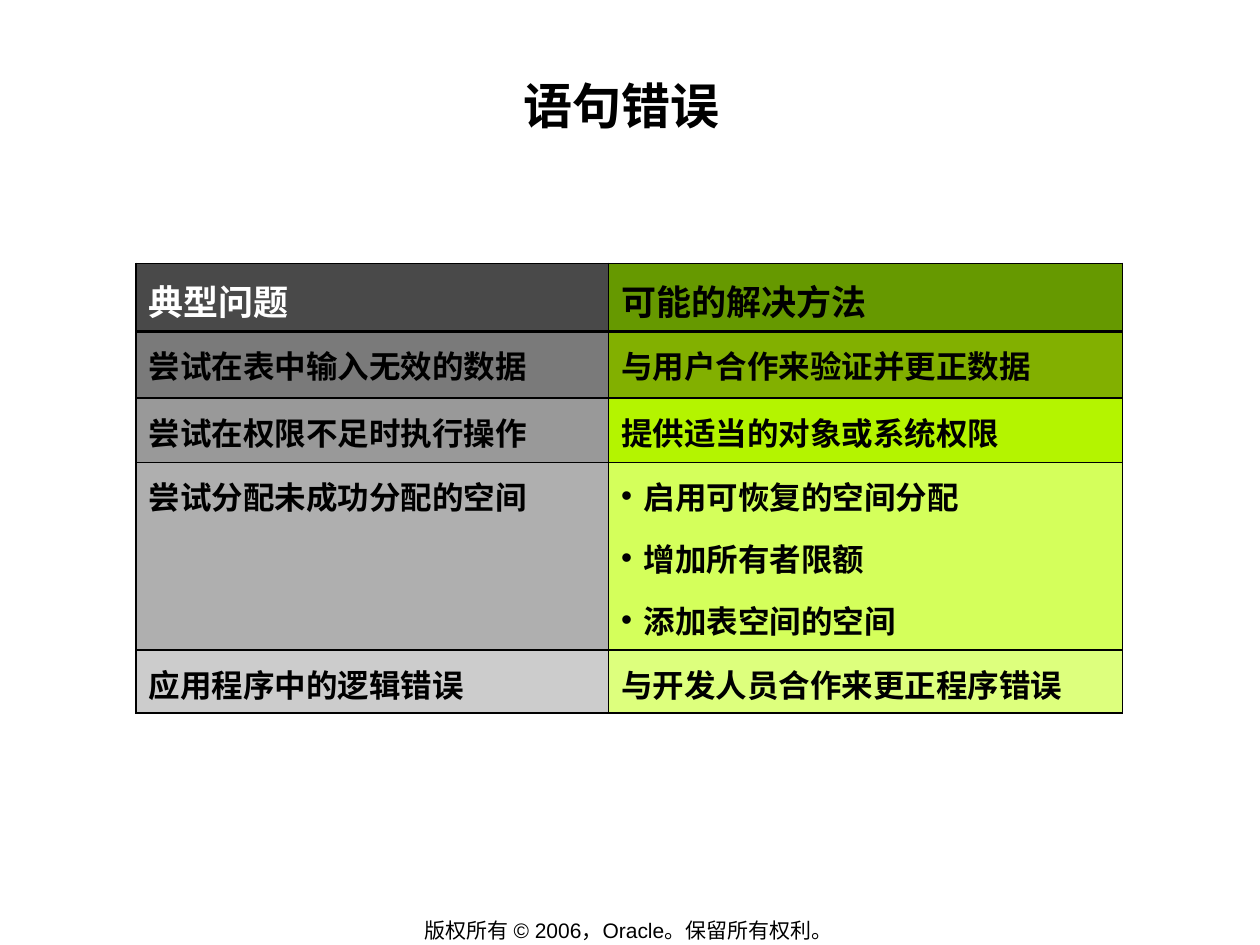
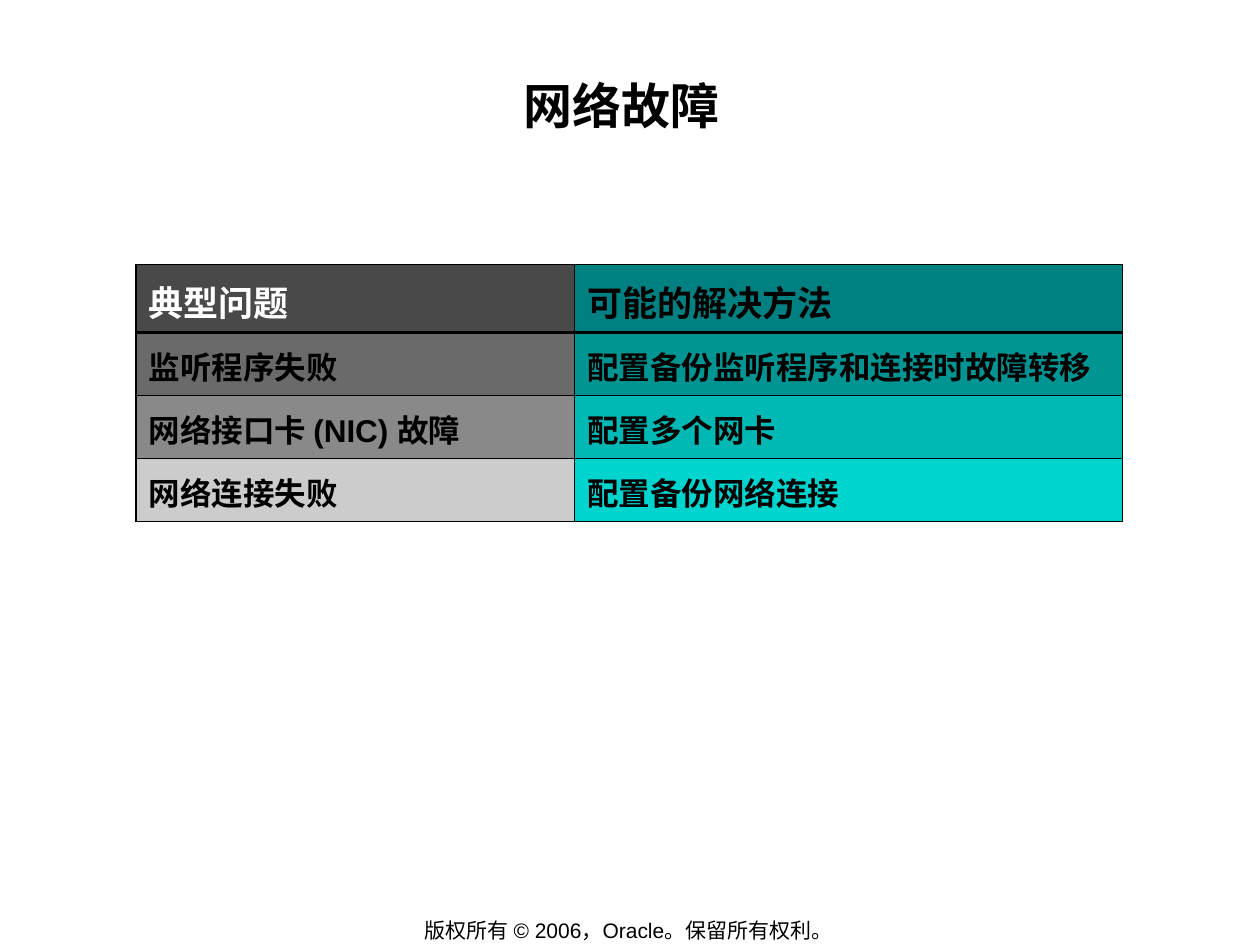
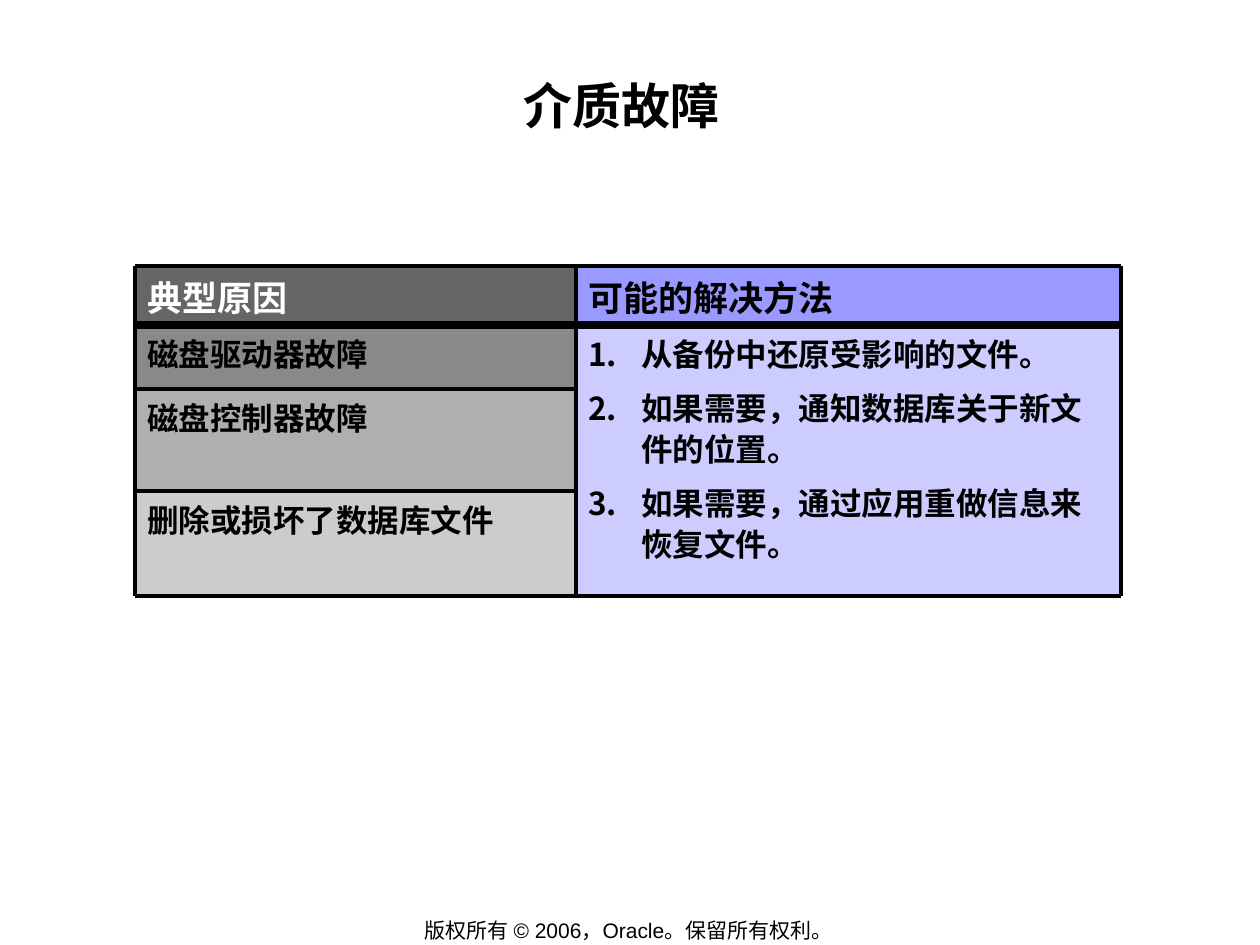
from dataclasses import dataclass
from itertools import groupby, pairwise

from pptx import Presentation
from pptx.dml.color import RGBColor
from pptx.enum.shapes import MSO_CONNECTOR, MSO_SHAPE
from pptx.enum.text import MSO_ANCHOR, PP_ALIGN
from pptx.oxml.ns import qn
from pptx.util import Inches, Pt
from lxml.etree import SubElement


@dataclass(frozen=True)
class Theme:
    ink: str = "000000"
    paper: str = "FFFFFF"
    latin: str = "Arial"
    chinese: str = "Noto Sans CJK SC"
    title_size: int = 28
    header_size: int = 20
    body_size: int = 18
    footer_size: int = 12
    line_spacing: float = 1.1
    item_gap: float = 6.8
    cell_border: float = 1.08
    header_border: float = 2.21
    frame_line: float = 2.25
    header_line: float = 4.5


THEME = Theme()

# Content
FOOTER = "版权所有 © 2006，Oracle。保留所有权利。"

# Each cell is (text or list of items, fill)
TABLE_SLIDES = [
    {
        "title": "语句错误",
        "top": 2.09,
        "columns": [3.75, 4.08],
        "heights": [0.54, 0.53, 0.51, 1.49, 0.5],
        "rows": [
            [("典型问题", "494949"), ("可能的解决方法", "669900")],
            [("尝试在表中输入无效的数据", "7A7A7A"), ("与用户合作来验证并更正数据", "82B000")],
            [("尝试在权限不足时执行操作", "999999"), ("提供适当的对象或系统权限", "B4F400")],
            [("尝试分配未成功分配的空间", "AFAFAF"),
             (["启用可恢复的空间分配", "增加所有者限额", "添加表空间的空间"], "D4FF5B")],
            [("应用程序中的逻辑错误", "CCCCCC"), ("与开发人员合作来更正程序错误", "DDFF7D")],
        ],
    },
    {
        "title": "网络故障",
        "top": 2.1,
        "columns": [3.48, 4.35],
        "heights": [0.54, 0.5, 0.5, 0.5],
        "rows": [
            [("典型问题", "494949"), ("可能的解决方法", "008080")],
            [("监听程序失败", "6A6A6A"), ("配置备份监听程序和连接时故障转移", "009592")],
            [("网络接口卡 (NIC) 故障", "898989"), ("配置多个网卡", "00B8B4")],
            [("网络连接失败", "CCCCCC"), ("配置备份网络连接", "00D4CF")],
        ],
    },
]
TABLE_LEFT = 1.08

MEDIA_TITLE = "介质故障"
MEDIA_HEADERS = [("典型原因", "666666"), ("可能的解决方法", "9999FF")]
MEDIA_CAUSES = [
    ("磁盘驱动器故障", "898989"),
    ("磁盘控制器故障", "AFAFAF"),
    ("删除或损坏了数据库文件", "CCCCCC"),
]
MEDIA_STEPS = [
    "从备份中还原受影响的文件。",
    "如果需要，通知数据库关于新文件的位置。",
    "如果需要，通过应用重做信息来恢复文件。",
]
MEDIA_STEPS_FILL = "CCCCFF"
MEDIA_X = [1.07, 4.57, 8.9]
MEDIA_Y = [2.11, 2.58, 3.09, 3.9, 4.73]


# Text helpers
def format_run(run, size, color, bold, font_name):
    run.font.size = Pt(size)
    run.font.bold = bold
    run.font.color.rgb = RGBColor.from_string(color)
    run.font.name = font_name
    SubElement(run.font._element, qn("a:ea")).set("typeface", THEME.chinese)


def add_marker(paragraph, tag, attributes, indent):
    properties = paragraph._p.get_or_add_pPr()
    properties.set("marL", str(Inches(indent)))
    properties.set("indent", str(-Inches(indent)))
    SubElement(properties, qn("a:buFont")).set("typeface", THEME.latin)
    marker = SubElement(properties, qn(tag))
    for name, value in attributes.items():
        marker.set(name, value)


def bullet(paragraph):
    add_marker(paragraph, "a:buChar", {"char": "•"}, 0.18)


def number(paragraph):
    add_marker(paragraph, "a:buAutoNum", {"type": "arabicPeriod"}, 0.42)


def fill_text(text_frame, content, size, color=THEME.ink, mark=bullet):
    """Write one text, or a marked list, with Latin and Chinese runs apart."""
    is_list = isinstance(content, list)
    for index, text in enumerate(content if is_list else [content]):
        paragraph = text_frame.add_paragraph() if index else text_frame.paragraphs[0]
        paragraph.alignment = PP_ALIGN.LEFT
        if is_list:
            mark(paragraph)
        paragraph.line_spacing = THEME.line_spacing
        if index:
            paragraph.space_before = Pt(THEME.item_gap)
        for is_latin, letters in groupby(text, str.isascii):
            run = paragraph.add_run()
            run.text = "".join(letters)
            # List markers take the Latin font of their run
            font_name = THEME.latin if is_latin or is_list else THEME.chinese
            format_run(run, size, color, True, font_name)


def add_centred_text(slide, text, box, insets, size, bold, anchor):
    text_frame = slide.shapes.add_textbox(*map(Inches, box)).text_frame
    text_frame.word_wrap = True
    text_frame.vertical_anchor = anchor
    (text_frame.margin_left, text_frame.margin_top,
     text_frame.margin_right, text_frame.margin_bottom) = map(Inches, insets)
    text_frame.text = text
    paragraph = text_frame.paragraphs[0]
    paragraph.alignment = PP_ALIGN.CENTER
    format_run(paragraph.runs[0], size, THEME.ink, bold, THEME.latin)


def add_base_slide(presentation, title):
    slide = presentation.slides.add_slide(presentation.slide_layouts[6])
    add_centred_text(slide, FOOTER, (2.76, 7.28, 4.49, 0.21), (0.1, 0.05, 0.13, 0.05),
                     THEME.footer_size, False, MSO_ANCHOR.MIDDLE)
    add_centred_text(slide, title, (0.97, 0.58, 8, 0.96), (0.01, 0.02, 0.09, 0.01),
                     THEME.title_size, True, MSO_ANCHOR.TOP)
    return slide


def text_style(is_header, column):
    size = THEME.header_size if is_header else THEME.body_size
    return size, THEME.paper if is_header and column == 0 else THEME.ink


# Tables
def set_borders(cell, row):
    properties = cell._tc.get_or_add_tcPr()
    widths = dict.fromkeys("LRTB", THEME.cell_border)
    if row < 2:
        widths["T" if row else "B"] = THEME.header_border
    for position, (side, width) in enumerate(widths.items()):
        line = properties.makeelement(qn(f"a:ln{side}"), {"w": str(Pt(width))})
        properties.insert(position, line)
        color = SubElement(SubElement(line, qn("a:solidFill")), qn("a:srgbClr"))
        color.set("val", THEME.ink)


def add_problem_table(slide, data):
    columns, heights = data["columns"], data["heights"]
    table = slide.shapes.add_table(
        len(heights), len(columns), Inches(TABLE_LEFT), Inches(data["top"]),
        Inches(sum(columns)), Inches(sum(heights))).table
    table.first_row = table.horz_banding = False
    for column, width in zip(table.columns, columns):
        column.width = Inches(width)
    for row, height in zip(table.rows, heights):
        row.height = Inches(height)
    for row, cells in enumerate(data["rows"]):
        for column, (content, fill) in enumerate(cells):
            cell = table.cell(row, column)
            cell.fill.solid()
            cell.fill.fore_color.rgb = RGBColor.from_string(fill)
            fill_text(cell.text_frame, content, *text_style(row == 0, column))
            set_borders(cell, row)


# Media failure grid
def add_block(slide, content, fill, x_span, y_span, size, color):
    (left, right), (top, bottom) = x_span, y_span
    shape = slide.shapes.add_shape(MSO_SHAPE.RECTANGLE, Inches(left), Inches(top),
                                   Inches(right - left), Inches(bottom - top))
    shape.shadow.inherit = False
    shape.fill.solid()
    shape.fill.fore_color.rgb = RGBColor.from_string(fill)
    shape.line.fill.background()
    shape.text_frame.word_wrap = True
    shape.text_frame.vertical_anchor = MSO_ANCHOR.TOP
    fill_text(shape.text_frame, content, size, color, number)


def add_rule(slide, start, end, width):
    line = slide.shapes.add_connector(MSO_CONNECTOR.STRAIGHT, *map(Inches, start + end))
    line.line.width = Pt(width)
    line.line.color.rgb = RGBColor.from_string(THEME.ink)
    SubElement(line._element.spPr, qn("a:effectLst"))


def add_media_grid(slide):
    left, middle, right = MEDIA_X
    top, header_bottom, *_, bottom = MEDIA_Y
    column_spans = list(pairwise(MEDIA_X))
    header_span, *cause_spans = pairwise(MEDIA_Y)

    for column, (text, fill) in enumerate(MEDIA_HEADERS):
        add_block(slide, text, fill, column_spans[column], header_span,
                  *text_style(True, column))
    for (text, fill), span in zip(MEDIA_CAUSES, cause_spans):
        add_block(slide, text, fill, column_spans[0], span, *text_style(False, 0))
    add_block(slide, MEDIA_STEPS, MEDIA_STEPS_FILL, column_spans[1],
              (header_bottom, bottom), *text_style(False, 1))

    # Rules between causes stop at the middle column
    for y in MEDIA_Y:
        end = right if y in (top, header_bottom, bottom) else middle
        width = THEME.header_line if y == header_bottom else THEME.frame_line
        add_rule(slide, (left, y), (end, y), width)
    add_rule(slide, (middle, top), (middle, bottom), THEME.frame_line)
    for x in (left, right):
        for start, end in pairwise((top, header_bottom, bottom)):
            add_rule(slide, (x, start), (x, end), THEME.frame_line)


def main():
    presentation = Presentation()
    presentation.slide_width = Inches(10)
    presentation.slide_height = Inches(7.5)
    for data in TABLE_SLIDES:
        add_problem_table(add_base_slide(presentation, data["title"]), data)
    add_media_grid(add_base_slide(presentation, MEDIA_TITLE))
    presentation.save("out.pptx")


if __name__ == "__main__":
    main()
